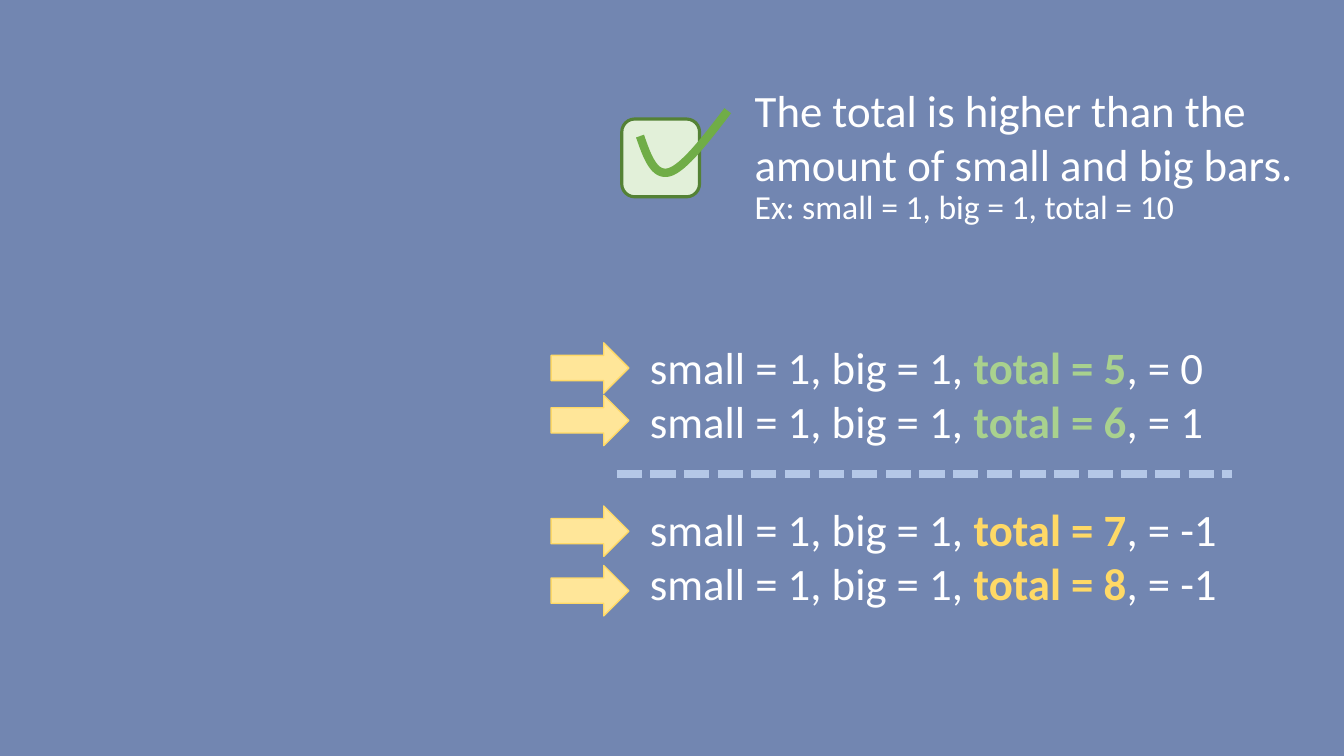
from pptx import Presentation
from pptx.dml.color import RGBColor
from pptx.enum.dml import MSO_LINE
from pptx.enum.shapes import MSO_CONNECTOR, MSO_SHAPE
from pptx.oxml.ns import qn
from pptx.util import Cm, Pt
from lxml import etree

ROUNDED = MSO_SHAPE.ROUNDED_RECTANGLE
ARROW = MSO_SHAPE.RIGHT_ARROW
STRAIGHT = MSO_CONNECTOR.STRAIGHT
DOTS = MSO_LINE.SQUARE_DOT

# Content
FONT = "Calibri"
WHITE, GREEN, YELLOW = "FFFFFF", "A9D18E", "FFD966"
RULE = "The total is higher than the amount of small and big bars."
EXAMPLE = "Ex: small = 1, big = 1, total = 10"
CASE_START = "small = 1, big = 1, "
# total, result, colour of total, space before in points, top of arrow in cm
CASES = [
    ("total = 5", ", = 0", GREEN, 0, 8.64),
    ("total = 6", ", = 1", GREEN, 0, 9.96),
    ("total = 7", ", = -1", YELLOW, 39, 12.75),
    ("total = 8", ", = -1", YELLOW, 0, 14.25),
]
# Two joined Bezier curves in cm: start, then control, control, end
TICK = [(16.13, 3.43), (16.31, 3.94), (16.48, 4.45), (16.87, 4.34),
        (17.22, 4.24), (17.78, 3.53), (18.34, 2.79)]
TICK_STEPS = 16


def color(hex_value):
    return RGBColor.from_string(hex_value)


def set_line(shape, hex_value, width):
    shape.line.color.rgb = color(hex_value)
    shape.line.width = Pt(width)


def add_filled(kind, left, top, width, height, fill, line, line_width):
    shape = slide.shapes.add_shape(kind, Cm(left), Cm(top), Cm(width), Cm(height))
    shape.shadow.inherit = False
    shape.fill.solid()
    shape.fill.fore_color.rgb = color(fill)
    set_line(shape, line, line_width)


def add_text_frame(left, top, width, height, wrap):
    box = slide.shapes.add_textbox(Cm(left), Cm(top), Cm(width), Cm(height))
    box.text_frame.word_wrap = wrap
    return box.text_frame


def style(paragraph, size):
    paragraph.font.name = FONT
    paragraph.font.size = Pt(size)
    paragraph.font.color.rgb = color(WHITE)


def bezier_point(points, t):
    weights = ((1 - t) ** 3, 3 * t * (1 - t) ** 2, 3 * t * t * (1 - t), t ** 3)
    return tuple(Cm(sum(w * p[axis] for w, p in zip(weights, points)))
                 for axis in (0, 1))


presentation = Presentation()
presentation.slide_width, presentation.slide_height = Cm(33.87), Cm(19.05)
slide = presentation.slides.add_slide(presentation.slide_layouts[6])
slide.background.fill.solid()
slide.background.fill.fore_color.rgb = color("7286B1")

# Check box and tick
add_filled(ROUNDED, 15.67, 3, 1.96, 1.96, "E2F0D9", "548235", 2.25)
tick_points = [bezier_point(TICK[first:first + 4], step / TICK_STEPS)
               for first in (0, 3) for step in range(1, TICK_STEPS + 1)]
builder = slide.shapes.build_freeform(Cm(TICK[0][0]), Cm(TICK[0][1]))
builder.add_line_segments(tick_points, close=False)
tick = builder.convert_to_shape()
tick.shadow.inherit = False
tick.fill.background()
set_line(tick, "70AD47", 6)

# Rule and example
for text, size, box, wrap in [
    (RULE, 32, (18.77, 1.96, 14.43, 3), True),
    (EXAMPLE, 24, (18.77, 4.55, 11.15, 1.27), False),
]:
    paragraph = add_text_frame(*box, wrap).paragraphs[0]
    paragraph.text = text
    style(paragraph, size)

# Cases, each with an arrow
frame = add_text_frame(16.13, 8.43, 14.96, 7.09, False)
for index, (total, result, total_color, space, arrow_top) in enumerate(CASES):
    paragraph = frame.add_paragraph() if index else frame.paragraphs[0]
    style(paragraph, 32)
    paragraph.space_before = Pt(space)
    start, middle, end = [paragraph.add_run() for _ in range(3)]
    start.text, middle.text, end.text = CASE_START, total, result
    middle.font.bold = True
    middle.font.color.rgb = color(total_color)
    add_filled(ARROW, 13.89, arrow_top, 1.96, 1.27, "FFE699", YELLOW, 1)

# Dotted divider
divider = slide.shapes.add_connector(STRAIGHT, Cm(15.54), Cm(11.94), Cm(31.06), Cm(11.94))
set_line(divider, "B4C7E7", 6)
divider.line.dash_style = DOTS
etree.SubElement(divider._element.spPr, qn("a:effectLst"))

presentation.save("out.pptx")
